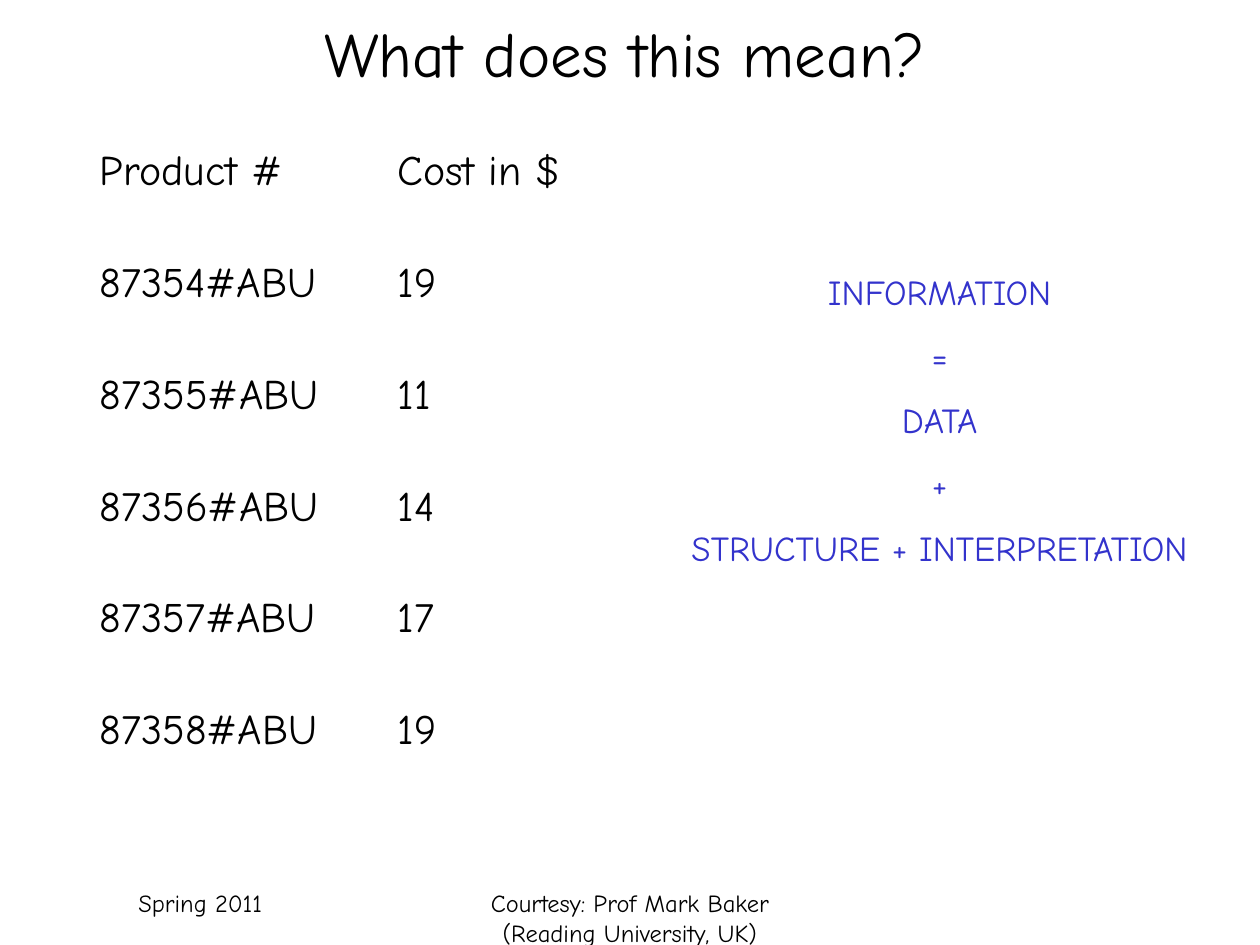
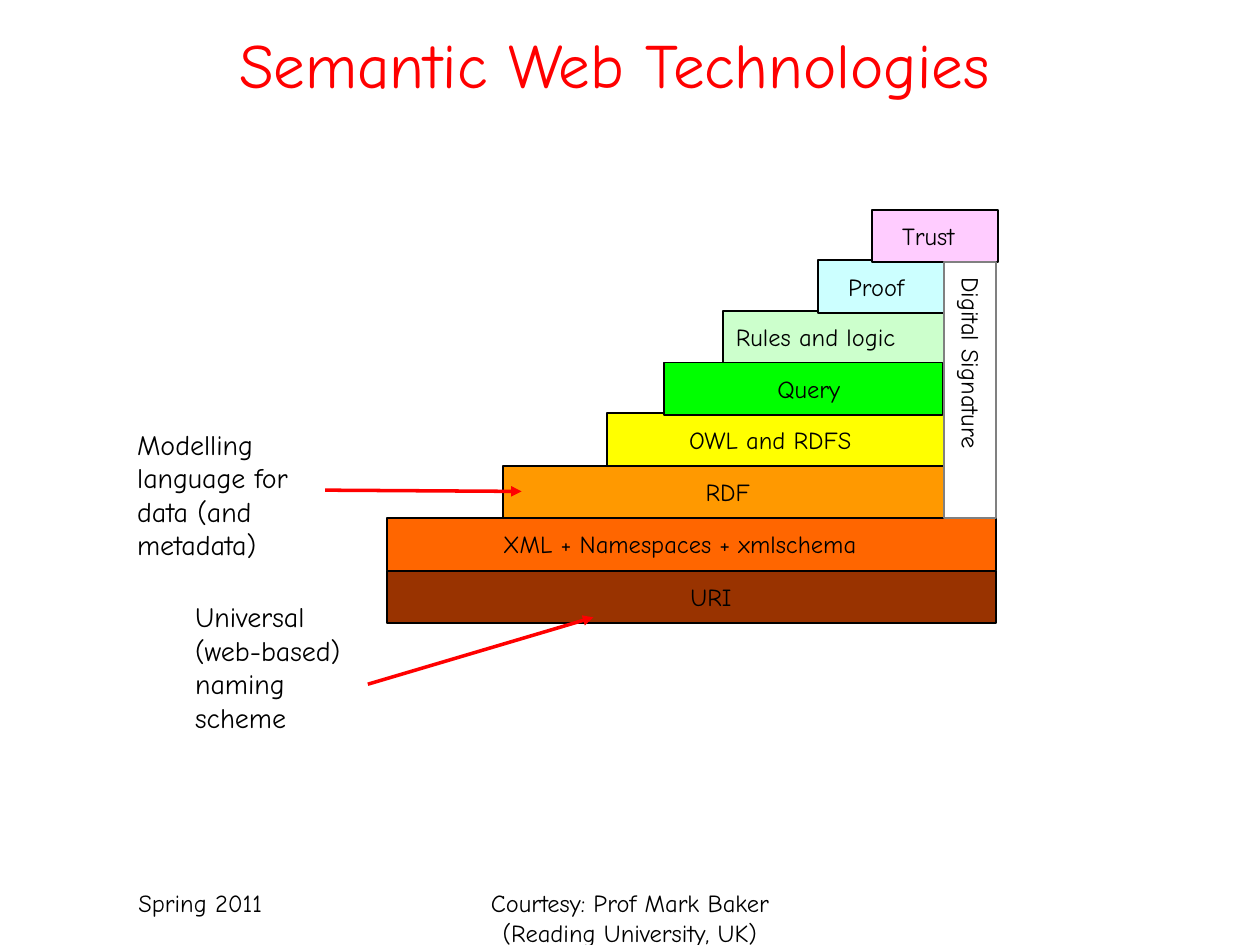
from lxml.etree import SubElement
from pptx import Presentation
from pptx.dml.color import RGBColor
from pptx.enum.shapes import MSO_CONNECTOR as Connector, MSO_SHAPE as Shape
from pptx.enum.text import MSO_ANCHOR as Anchor, PP_ALIGN as Align
from pptx.oxml.ns import qn
from pptx.util import Pt

FONT = "Comic Neue"
COLOURS = {
    "black": "000000",
    "red": "FF0000",
    "blue": "3333CC",
    "grey": "808080",
    "brown": "993300",
    "dark orange": "FF6600",
    "orange": "FF9900",
    "yellow": "FFFF00",
    "green": "00FF00",
    "mint": "CCFFCC",
    "ice": "CCFFFF",
    "pink": "FFCCFF",
}

PRODUCTS = [
    ("Product #", "Cost in $"),
    ("87354#ABU", "19"),
    ("87355#ABU", "11"),
    ("87356#ABU", "14"),
    ("87357#ABU", "17"),
    ("87358#ABU", "19"),
]

STEP_HEIGHT = 30
LABEL_HEIGHT = 17
STEPS = [
    ("URI", "brown", (221, 326.2, 348), (394.5, 24.5)),
    ("XML + Namespaces + xmlschema", "dark orange", (221, 296, 348), (287.3, 242)),
    ("RDF", "orange", (287.3, 266.2, 252), (403.2, 33)),
    ("OWL and RDFS", "yellow", (347, 236.2, 192.2), (393.8, 106)),
    ("Rules and logic", "mint", (413.3, 177.8, 126), (420.5, 107.3)),
    ("Proof", "ice", (467.3, 148.8, 72), (484.6, 36.7)),
    ("Trust", "pink", (498.2, 120, 72), (515.5, 36)),
    ("Query", "green", (379.5, 207.2, 159.1), (444.2, 42.5)),
]

NOTES = [
    ("Universal (web-based) naming scheme", (104.4, 335.5, 114.5, 91.5),
     (210.2, 391), (339.1, 352.8)),
    ("Modelling language for data (and metadata)", (71.3, 236.9, 114.5, 110),
     (185.8, 280.1), (298.1, 280.8)),
]


def colour(name):
    return RGBColor.from_string(COLOURS[name])


class SlideBuilder:
    def __init__(self, deck):
        self.deck = deck
        self.page = None

    def new_page(self, title, bounds, title_colour):
        self.page = self.deck.slides.add_slide(self.deck.slide_layouts[6])
        self.text(["Spring 2011"], (72, 504, 150, 36), 14)
        self.text(["Courtesy: Prof Mark Baker (Reading University, UK)"],
                  (246, 504, 228, 36), 14, align=Align.CENTER)
        self.text([title], bounds, 36, title_colour, Align.CENTER, Anchor.MIDDLE)

    def add_span(self, para, words, size, ink="black", align=Align.LEFT):
        para.alignment = align
        span = para.add_run()
        span.text = words
        span.font.name = FONT
        span.font.size = Pt(size)
        span.font.color.rgb = colour(ink)

    def text(self, lines, bounds, size, ink="black", align=Align.LEFT,
             anchor=Anchor.TOP, inset=(7.2, 3.6), wrap=True, gap=0, vertical=False):
        box = self.page.shapes.add_textbox(*map(Pt, bounds))
        frame = box.text_frame
        frame.word_wrap = wrap
        frame.vertical_anchor = anchor
        frame.margin_left = frame.margin_right = Pt(inset[0])
        frame.margin_top = frame.margin_bottom = Pt(inset[1])
        if vertical:
            frame._txBody.bodyPr.set("vert", "eaVert")
        for index, words in enumerate(lines):
            para = frame.add_paragraph() if index else frame.paragraphs[0]
            if index:
                para.space_before = Pt(gap)
            self.add_span(para, words, size, ink, align)

    def label(self, words, bounds, vertical=False):
        self.text([words], bounds, 14, inset=(0, 0), wrap=False, vertical=vertical)

    def rectangle(self, bounds, fill=None, line="black"):
        block = self.page.shapes.add_shape(Shape.RECTANGLE, *map(Pt, bounds))
        block.shadow.inherit = False
        if fill:
            block.fill.solid()
            block.fill.fore_color.rgb = colour(fill)
        else:
            block.fill.background()
        block.line.color.rgb = colour(line)
        block.line.width = Pt(1)

    def arrow(self, start, end):
        arrow = self.page.shapes.add_connector(
            Connector.STRAIGHT, *map(Pt, start + end))
        arrow.line.color.rgb = colour("red")
        arrow.line.width = Pt(2)
        SubElement(arrow.line._get_or_add_ln(), qn("a:tailEnd"), type="triangle")
        SubElement(arrow._element.spPr, qn("a:effectLst"))

    def table(self, rows, bounds, size, insets):
        table = self.page.shapes.add_table(
            len(rows), len(rows[0]), *map(Pt, bounds)).table
        table.first_row = table.horz_banding = False
        for row_index, row in enumerate(rows):
            for column_index, words in enumerate(row):
                cell = table.cell(row_index, column_index)
                cell.fill.background()
                cell.vertical_anchor = Anchor.MIDDLE
                cell.margin_left = Pt(insets[column_index])
                cell.margin_right = cell.margin_top = cell.margin_bottom = Pt(3)
                self.add_span(cell.text_frame.paragraphs[0], words, size)


def build_meaning(builder):
    builder.new_page("What does this mean?", (78, 0, 558, 60), "black")
    builder.table(PRODUCTS, (54, 66, 325.4, 384), 24, (3, 10.5))
    builder.text(
        ["INFORMATION", "=", "DATA", "+", "STRUCTURE + INTERPRETATION"],
        (368, 147.6, 338, 184), 20, "blue", Align.CENTER,
        inset=(7.2, 7.2), wrap=False, gap=12.5)


def build_technologies(builder):
    builder.new_page("Semantic Web Technologies", (24, 6, 654, 60), "red")
    for name, fill, (left, top, width), (label_left, label_width) in STEPS:
        builder.rectangle((left, top, width, STEP_HEIGHT), fill)
        label_top = top + (STEP_HEIGHT - LABEL_HEIGHT) / 2
        builder.label(name, (label_left, label_top, label_width, LABEL_HEIGHT))
    builder.rectangle((539.3, 149.8, 30, 146.2), line="grey")
    builder.label("Digital Signature", (546.5, 158.4, LABEL_HEIGHT, 118), vertical=True)
    for words, bounds, start, end in NOTES:
        builder.text([words], bounds, 16, inset=(7.2, 7.2))
        builder.arrow(start, end)


def main():
    deck = Presentation()
    deck.slide_width, deck.slide_height = Pt(720), Pt(540)
    builder = SlideBuilder(deck)
    build_meaning(builder)
    build_technologies(builder)
    deck.save("out.pptx")


if __name__ == "__main__":
    main()
